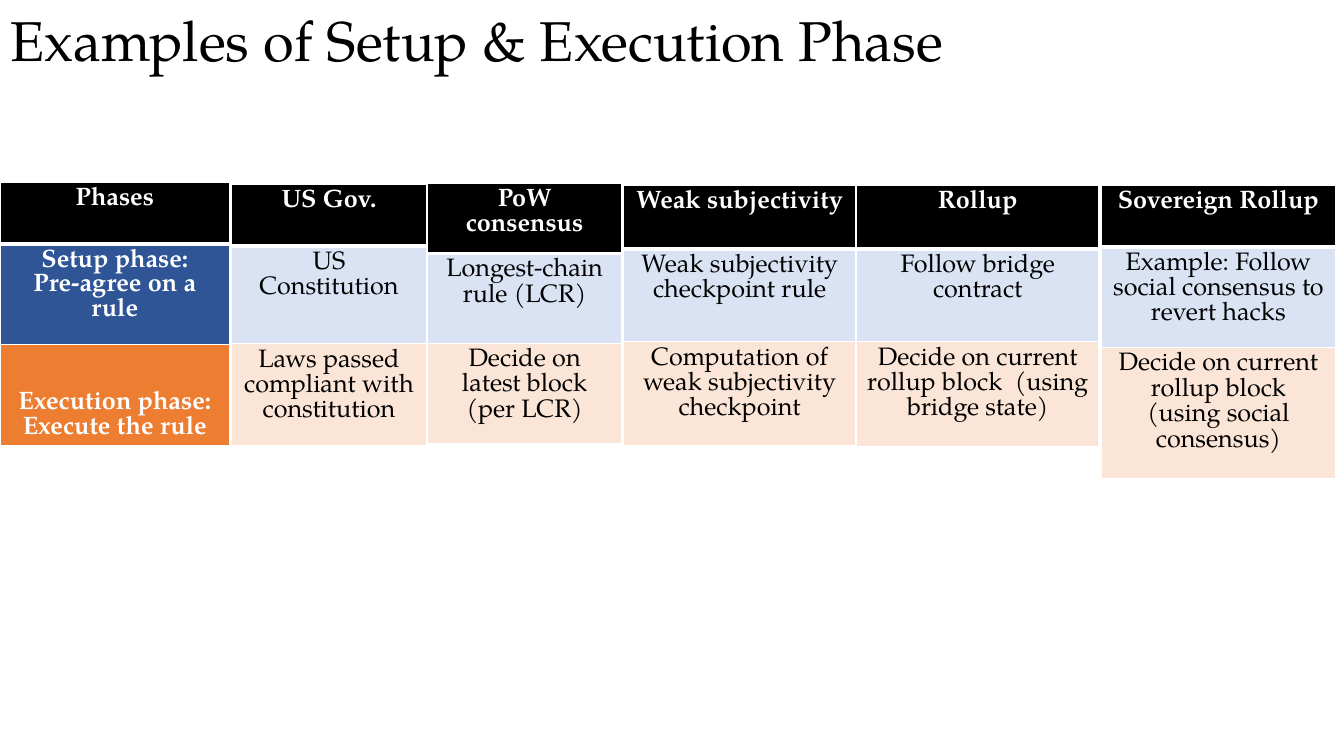
import pptx
import pptx.dml.color
import pptx.enum.text
import pptx.oxml
import pptx.oxml.ns
import pptx.util

Cm = pptx.util.Cm
ALIGN = pptx.enum.text.PP_ALIGN
ANCHOR = pptx.enum.text.MSO_ANCHOR

FONT = "TeX Gyre Pagella"
WHITE, BLACK = "FFFFFF", "000000"
TITLE_FORMAT = {"name": FONT, "size": pptx.util.Pt(40), "bold": False}
LABEL_FORMAT = {"name": FONT, "size": pptx.util.Pt(18), "bold": True}
EXAMPLE_FORMAT = {**LABEL_FORMAT, "bold": False}

# Cell fills from the top row down
PHASE_FILLS = (BLACK, "2F5597", "ED7D31")
EXAMPLE_FILLS = (BLACK, "DAE3F3", "FBE5D6")

# Each column: box (left, top, width) and row heights in cm, then the cell texts
PHASES = ((0, 4.6, 5.79), (1.55, 2.54, 2.54),
          ("Phases", "Setup phase:\vPre-agree on a rule",
           "Execution phase:\nExecute the rule"))
EXAMPLES = (
    ((5.84, 4.65, 4.9), (1.55, 2.46, 2.57),
     ("US Gov.", "US Constitution", "Laws passed compliant with constitution")),
    ((10.77, 4.62, 4.9), (1.77, 2.26, 2.54),
     ("PoW consensus", "Longest-chain rule (LCR)",
      "Decide on latest block (per LCR)")),
    ((15.72, 4.67, 5.84), (1.6, 2.34, 2.62),
     ("Weak subjectivity", "Weak subjectivity checkpoint rule",
      "Computation of weak subjectivity checkpoint")),
    ((21.59, 4.67, 6.1), (1.6, 2.34, 2.64),
     ("Rollup", "Follow bridge contract",
      "Decide on current rollup block  (using bridge state)")),
    ((27.76, 4.67, 5.89), (1.55, 2.54, 3.3),
     ("Sovereign Rollup", "Example: Follow social consensus to revert hacks",
      "Decide on current rollup block (using social consensus)")),
)


def color(value):
    return pptx.dml.color.RGBColor.from_string(value)


def format_text(frame, values, text_color, align):
    for para in frame.paragraphs:
        para.alignment = align
        for span in para.runs:
            for name, value in values.items():
                setattr(span.font, name, value)
            span.font.color.rgb = color(text_color)


def add_borders(cell, below_width):
    """White rules on all four sides; below_width in points."""
    properties = cell._tc.get_or_add_tcPr()
    for side, width in (("L", 1), ("R", 1), ("T", 1), ("B", below_width)):
        properties.append(pptx.oxml.parse_xml(
            f'<a:ln{side} {pptx.oxml.ns.nsdecls("a")} w="{pptx.util.Pt(width)}">'
            f'<a:solidFill><a:srgbClr val="{WHITE}"/></a:solidFill></a:ln{side}>'))


def add_title(page, box, text):
    title = page.shapes.title
    title.left, title.top, title.width, title.height = (Cm(n) for n in box)
    frame = title.text_frame
    frame.text = text
    frame.word_wrap = True
    frame.vertical_anchor = ANCHOR.MIDDLE
    format_text(frame, TITLE_FORMAT, BLACK, ALIGN.LEFT)


def add_column(page, box, heights, texts, fills, body_format, body_color):
    left, top, width = (Cm(n) for n in box)
    table = page.shapes.add_table(
        len(texts), 1, left, top, width, Cm(sum(heights))).table
    table.first_row = table.horz_banding = False
    for index, (height, text, fill) in enumerate(zip(heights, texts, fills)):
        header = index == 0
        table.rows[index].height = Cm(height)
        cell = table.cell(index, 0)
        add_borders(cell, 3 if header else 1)
        cell.fill.solid()
        cell.fill.fore_color.rgb = color(fill)
        cell.text_frame.text = text
        format_text(cell.text_frame, LABEL_FORMAT if header else body_format,
                    WHITE if header else body_color, ALIGN.CENTER)
    return table


def build_phase_slide(deck):
    page = deck.slides.add_slide(deck.slide_layouts[5])
    add_title(page, (0, 0, 33.87, 1.96), "Examples of Setup & Execution Phase")

    # Phase names; the last one sits low in its cell
    phases = add_column(page, *PHASES, PHASE_FILLS, LABEL_FORMAT, WHITE)
    phases.cell(2, 0).vertical_anchor = ANCHOR.BOTTOM

    # One column for each example
    for example in EXAMPLES:
        add_column(page, *example, EXAMPLE_FILLS, EXAMPLE_FORMAT, BLACK)


def main():
    deck = pptx.Presentation()
    deck.slide_width, deck.slide_height = Cm(33.87), Cm(19.05)
    build_phase_slide(deck)
    deck.save("out.pptx")


if __name__ == "__main__":
    main()
